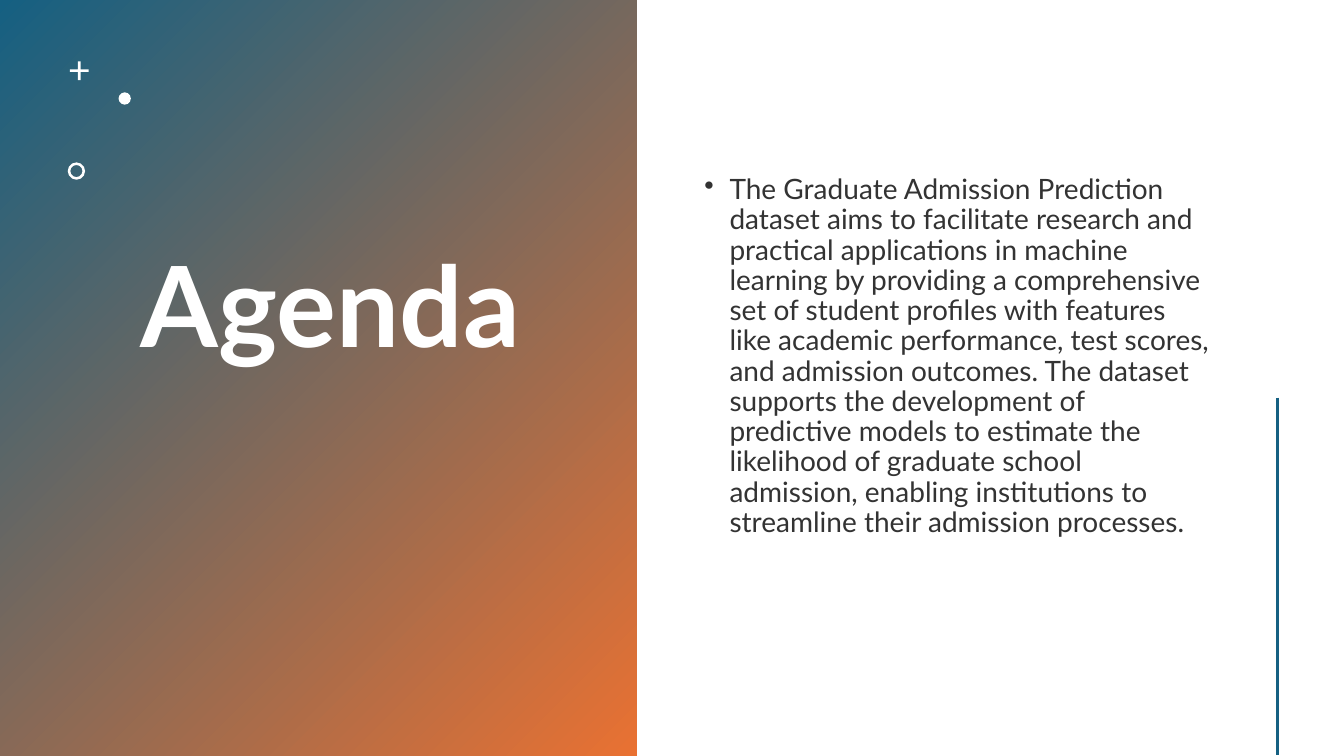
from lxml import etree
from pptx import Presentation
from pptx.dml.color import RGBColor
from pptx.enum.shapes import MSO_CONNECTOR, MSO_SHAPE
from pptx.enum.text import MSO_ANCHOR
from pptx.oxml.ns import qn
from pptx.util import Pt

RECT, OVAL = MSO_SHAPE.RECTANGLE, MSO_SHAPE.OVAL
CROSS, DONUT = MSO_SHAPE.CROSS, MSO_SHAPE.DONUT
LINE, MIDDLE = MSO_CONNECTOR.STRAIGHT, MSO_ANCHOR.MIDDLE

COLORS = {"blue": "156082", "orange": "E97132", "white": "FFFFFF", "ink": "333333"}
FONT = "Lato"
WIDTH, HEIGHT = 960, 540
ABOUT = (
    "The Graduate Admission Prediction dataset aims to facilitate research and "
    "practical applications in machine learning by providing a comprehensive set "
    "of student profiles with features like academic performance, test scores, "
    "and admission outcomes. The dataset supports the development of predictive "
    "models to estimate the likelihood of graduate school admission, enabling "
    "institutions to streamline their admission processes."
)


def color(name):
    return RGBColor.from_string(COLORS[name])


def add_panel(slide, width):
    panel = slide.shapes.add_shape(RECT, 0, 0, Pt(width), Pt(HEIGHT))
    panel.shadow.inherit = False
    panel.line.fill.background()
    panel.fill.gradient()
    panel.fill.gradient_angle = 315
    for stop, name in zip(panel.fill.gradient_stops, ("blue", "orange")):
        stop.color.rgb = color(name)


def add_mark(group, kind, left, top, size, adjust=None):
    mark = group.shapes.add_shape(kind, Pt(left), Pt(top), Pt(size), Pt(size))
    mark.shadow.inherit = False
    mark.line.fill.background()
    mark.fill.solid()
    mark.fill.fore_color.rgb = color("white")
    if adjust is not None:
        mark.adjustments[0] = adjust


def add_text(slide, box, text, size, ink, bottom, bold=False):
    frame = slide.shapes.add_textbox(*map(Pt, box)).text_frame
    frame.word_wrap = True
    frame.vertical_anchor = MIDDLE
    frame.margin_bottom = Pt(bottom)
    para = frame.paragraphs[0]
    para.text = text
    para.line_spacing = 0.9
    para.font.name = FONT
    para.font.size = Pt(size)
    para.font.bold = bold
    para.font.color.rgb = color(ink)
    return para


def add_bullet(para, indent):
    para.space_before = Pt(10)
    props = para._p.get_or_add_pPr()
    props.set("marL", str(Pt(indent)))
    props.set("indent", str(-Pt(indent)))
    bullet = etree.Element(qn("a:buChar"), char="•")
    props.insert_element_before(bullet, "a:tabLst", "a:defRPr", "a:extLst")


def add_rule(slide, x, top, bottom):
    rule = slide.shapes.add_connector(LINE, Pt(x), Pt(top), Pt(x), Pt(bottom))
    rule.line.color.rgb = color("blue")
    rule.line.width = Pt(2)
    etree.SubElement(rule._element.spPr, qn("a:effectLst"))


def main():
    deck = Presentation()
    deck.slide_width, deck.slide_height = Pt(WIDTH), Pt(HEIGHT)
    slide = deck.slides.add_slide(deck.slide_layouts[6])

    # Gradient panel with its title
    add_panel(slide, 455)
    add_text(slide, (93.6, 30.2, 315.4, 470.2), "Agenda", 80, "white", 90, bold=True)

    # Small marks in the corner
    marks = slide.shapes.add_group_shape()
    add_mark(marks, CROSS, 49.9, 43.8, 13.4, 0.43)
    add_mark(marks, OVAL, 84.7, 66, 8.8)
    add_mark(marks, DONUT, 48.4, 116, 12.4, 0.15)

    # Summary and accent rule
    about = add_text(slide, (496, 41, 375.8, 459.4), ABOUT, 20, "ink", 35)
    add_bullet(about, 18)
    add_rule(slide, 912.5, 284, 539.5)

    deck.save("out.pptx")


if __name__ == "__main__":
    main()
